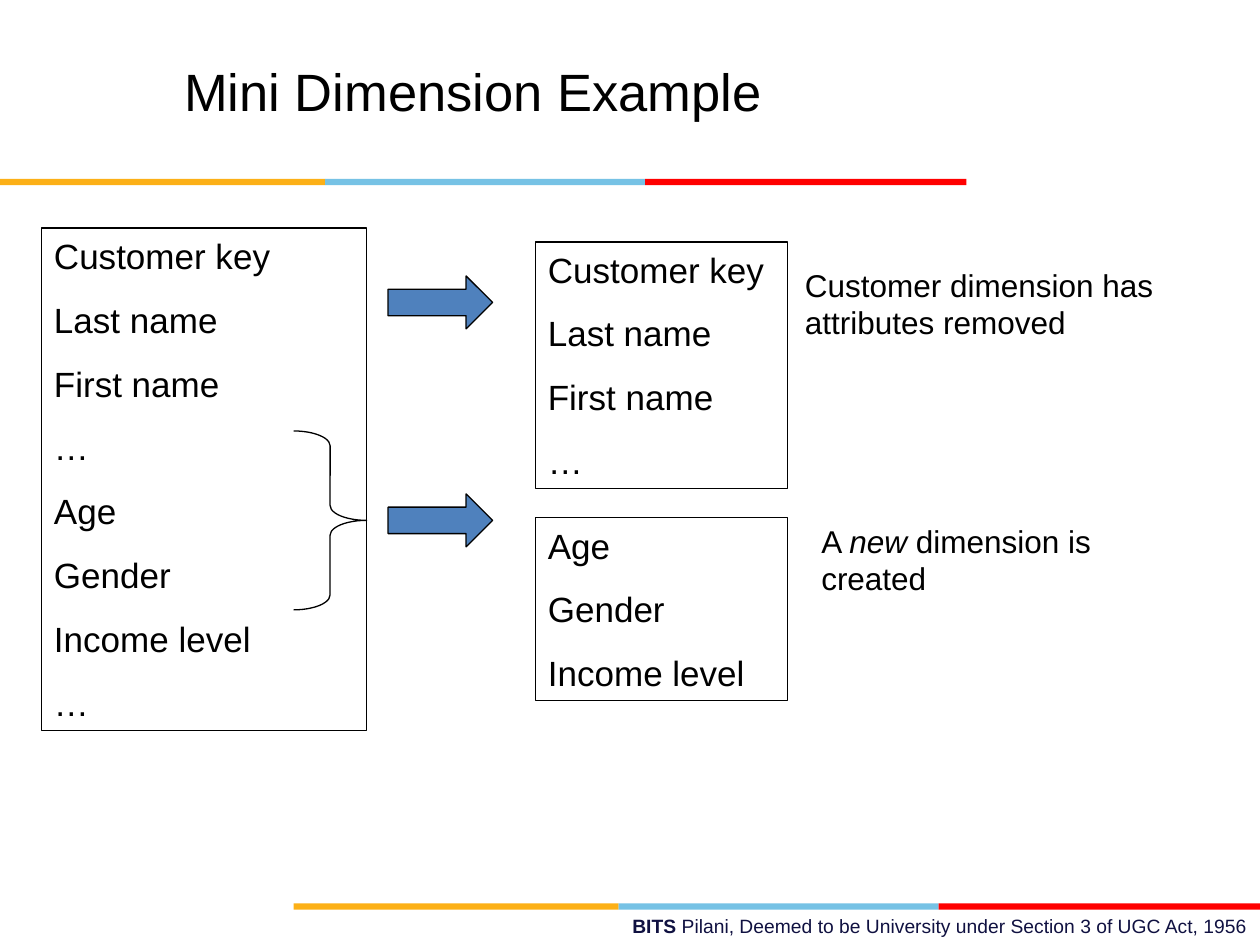
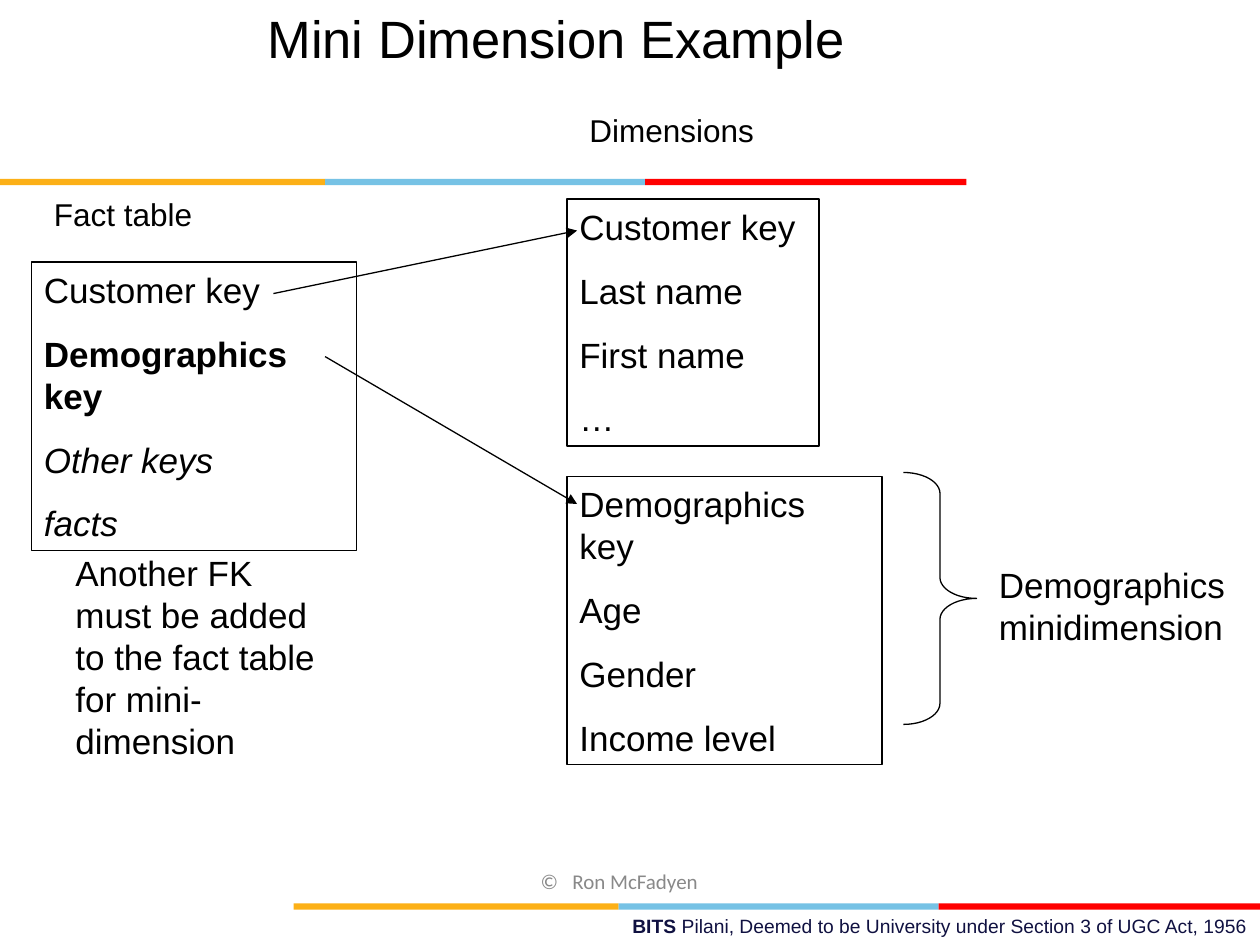
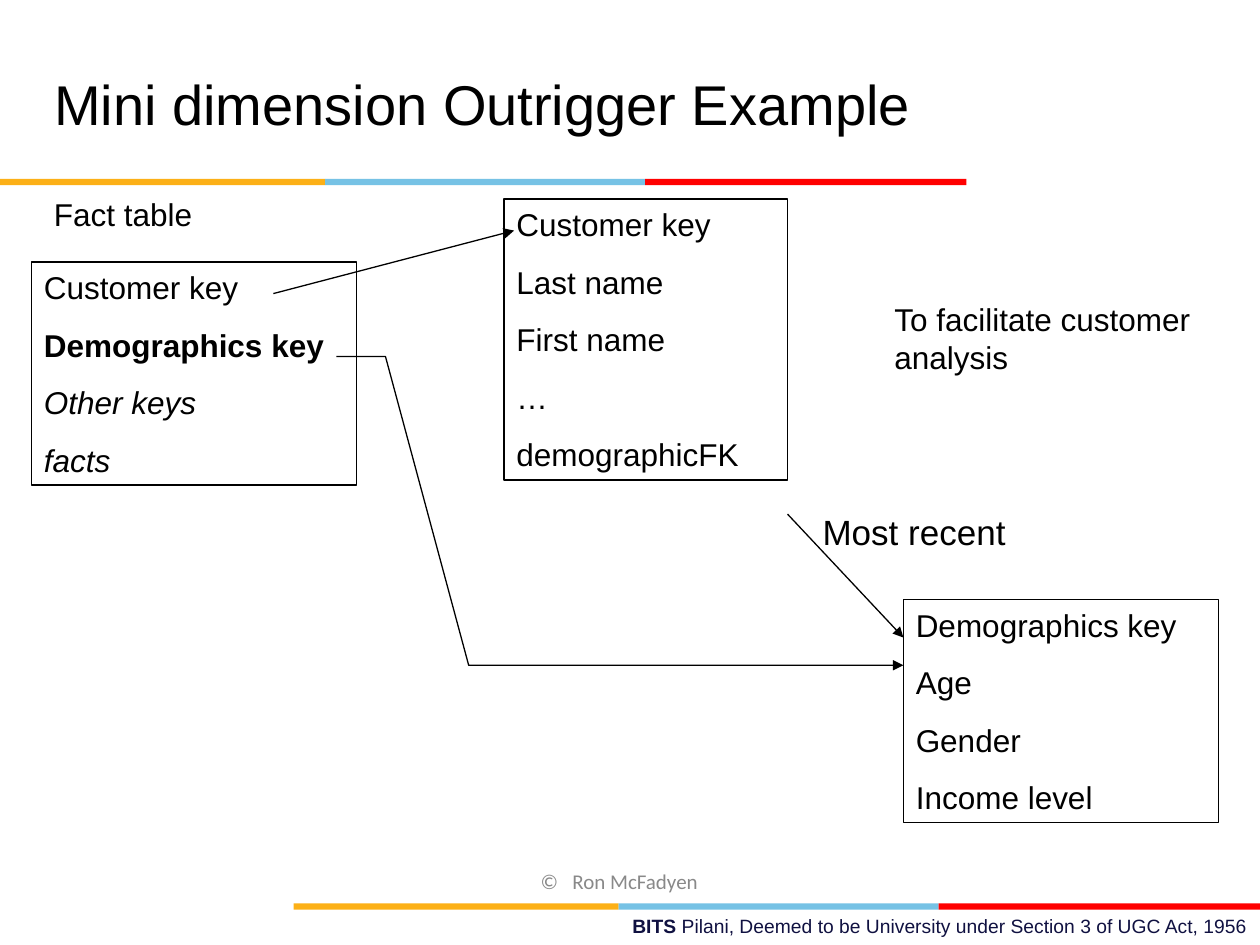
from dataclasses import dataclass
from lxml.etree import SubElement
from pptx import Presentation
from pptx.dml.color import RGBColor
from pptx.enum.shapes import MSO_CONNECTOR, MSO_SHAPE
from pptx.enum.text import MSO_ANCHOR, PP_ALIGN
from pptx.oxml.ns import qn
from pptx.util import Inches, Pt


@dataclass(frozen=True)
class Theme:
    font: str = "Arial"
    credit_font: str = "Calibri"
    black: str = "000000"
    white: str = "FFFFFF"
    navy: str = "101141"
    grey: str = "898989"
    blue: str = "4F81BD"
    bands: tuple = (("FCB017", 2.58), ("76C2E5", 2.54), ("FF0000", 2.55))
    band: float = 0.05
    line: float = 0.75
    large: int = 20
    body: int = 18
    small: int = 12
    foot: int = 11
    gap: float = 0.625


T = Theme()
BANDS = [(0, 1.42), (2.33, 7.17)]
FOOTER = [[("BITS ", "b"), ("Pilani, Deemed to be University under Section 3 of UGC Act, 1956", "")]]
NAMES = ["Customer key", "Last name", "First name", "…"]
TRAITS = ["Age", "Gender", "Income level"]
FACTS = ["Customer key", [("Demographics key", "b")], [("Other keys", "i")], [("facts", "i")]]
DEMO = ["Demographics key", *TRAITS]

SLIDES = [
    {
        "title": ("Mini Dimension Example", (0.67, 0.42, 6.17, 0.6), 30, PP_ALIGN.CENTER),
        "boxes": [
            ((0.33, 1.81, 2.58, 3.99), [*NAMES, *TRAITS, "…"], T.large),
            ((4.25, 4.11, 2, 1.45), TRAITS, T.large),
            ((4.25, 1.92, 2, 1.96), NAMES, T.large),
        ],
        "braces": [(2.33, 3.42, 0.58, 1.42)],
        "arrows": [(3.08, 3.92, 0.83, 0.42), (3.08, 2.19, 0.83, 0.42)],
        "notes": [
            ((6.29, 2.06, 3.17, 0.7), ["Customer dimension has attributes removed"], T.body),
            ((6.42, 4.09, 3.17, 0.7), [[("A ", ""), ("new", "i"), (" dimension is created", "")]], T.body),
        ],
    },
    {
        "title": ("Mini Dimension Example", (1.33, 0, 6.17, 0.6), 30, PP_ALIGN.CENTER),
        "credit": True,
        "boxes": [
            ((0.25, 2.08, 2.58, 2.29), FACTS, T.large),
            ((4.5, 3.78, 2.5, 2.29), DEMO, T.large),
            ((4.5, 1.58, 2, 1.96), NAMES, T.large),
        ],
        "links": [((2.17, 2.33), (4.58, 1.83)), ((2.58, 2.83), (4.58, 4))],
        "braces": [(7.17, 3.75, 0.58, 2)],
        "notes": [
            ((7.83, 4.42, 2.17, 0.77), ["Demographics minidimension"], T.large),
            ((0.33, 1.5, 3, 0.4), ["Fact table"], T.body),
            ((4.58, 0.83, 2.67, 0.4), ["Dimensions"], T.body),
            ((0.5, 4.33, 2.17, 1.77), ["Another FK must be added to the fact table for mini-dimension"], T.large),
        ],
    },
    {
        "title": ("Mini dimension Outrigger Example", (0.33, 0.5, 7.5, 0.64), 32, PP_ALIGN.LEFT),
        "credit": True,
        "boxes": [
            ((0.25, 2.08, 2.58, 1.77), FACTS, T.body),
            ((7.17, 4.76, 2.5, 1.77), DEMO, T.body),
            ((4, 1.58, 2.25, 2.23), [*NAMES, "demographicFK"], T.body),
        ],
        "links": [
            ((2.17, 2.33), (4.08, 1.83)),
            ((2.67, 2.83), (3.06, 2.83), (3.72, 5.28), (7.17, 5.28)),
            ((6.25, 4.08), (7.17, 5.06)),
        ],
        "notes": [
            ((0.33, 1.5, 3, 0.4), ["Fact table"], T.body),
            ((6.43, 4, 1.8, 0.44), ["Most recent"], T.large),
            ((7, 2.33, 2.67, 0.7), ["To facilitate customer analysis"], T.body),
        ],
    },
]


def tint(hue):
    return RGBColor.from_string(hue)


def place(at):
    return [Inches(n) for n in at]


def write(shape, paras, size, hue=T.black, font=T.font, align=PP_ALIGN.LEFT, anchor=MSO_ANCHOR.TOP):
    frame = shape.text_frame
    frame.word_wrap = True
    frame.vertical_anchor = anchor
    frame.margin_left = frame.margin_right = Inches(0.1)
    frame.margin_top = frame.margin_bottom = Inches(0.05)
    for i, runs in enumerate(paras):
        para = frame.add_paragraph() if i else frame.paragraphs[0]
        para.alignment = align
        para.space_before = Pt(size * T.gap if i else 0)
        for text, style in [(runs, "")] if isinstance(runs, str) else runs:
            run = para.add_run()
            run.text = text
            run.font.name = font
            run.font.size = Pt(size)
            run.font.bold = style == "b"
            run.font.italic = style == "i"
            run.font.color.rgb = tint(hue)


def label(slide, at, paras, size, **look):
    shape = slide.shapes.add_textbox(*place(at))
    write(shape, paras, size, **look)
    return shape


def stroke(item):
    item.line.color.rgb = tint(T.black)
    item.line.width = Pt(T.line)


def draw(slide, kind, at, fill=None, edge=True):
    shape = slide.shapes.add_shape(kind, *place(at))
    shape.shadow.inherit = False
    if fill:
        shape.fill.solid()
        shape.fill.fore_color.rgb = tint(fill)
    else:
        shape.fill.background()
    if edge:
        stroke(shape)
    else:
        shape.line.fill.background()
    return shape


def link(slide, points):
    first, *rest = [place(p) for p in points]
    if len(rest) == 1:
        item = slide.shapes.add_connector(MSO_CONNECTOR.STRAIGHT, *first, *rest[0])
        stroke(item)
        SubElement(item._element.spPr, qn("a:effectLst"))
    else:
        path = slide.shapes.build_freeform(*first)
        path.add_line_segments(rest, close=False)
        item = path.convert_to_shape()
        item.shadow.inherit = False
        item.fill.background()
        stroke(item)
    SubElement(item._element.spPr.find(qn("a:ln")), qn("a:tailEnd"), type="triangle")


def brace(slide, at):
    shape = draw(slide, MSO_SHAPE.RIGHT_BRACE, at)
    shape.adjustments[0] = at[3] / at[2] / 12


def credit(slide):
    shape = label(slide, (2.83, 6.79, 4.17, 0.4), [[("©", ""), (" ", ""), ("Ron McFadyen", "")]],
                  T.small, hue=T.grey, font=T.credit_font,
                  align=PP_ALIGN.CENTER, anchor=MSO_ANCHOR.MIDDLE)
    space = shape.text_frame.paragraphs[0].runs[1]
    space.font._element.set("spc", "540")


def dress(layout, slide):
    for holder in list(layout.placeholders):
        if holder.placeholder_format.idx:
            holder._element.getparent().remove(holder._element)
    parts = [label(slide, (3.58, 7.21, 6.42, 0.29), FOOTER, T.foot, hue=T.navy, align=PP_ALIGN.RIGHT)]
    for left, top in BANDS:
        for hue, width in T.bands:
            parts.append(draw(slide, MSO_SHAPE.RECTANGLE, (left, top, width, T.band), hue, edge=False))
            left += width
    for part in parts:
        layout.shapes._spTree.append(part._element)


def build(slide, data):
    text, at, size, align = data["title"]
    title = slide.shapes.title
    title.left, title.top, title.width, title.height = place(at)
    write(title, [text], size, align=align)
    if data.get("credit"):
        credit(slide)
    for at, paras, size in data["boxes"]:
        write(draw(slide, MSO_SHAPE.RECTANGLE, at, T.white), paras, size)
    for points in data.get("links", []):
        link(slide, points)
    for at in data.get("braces", []):
        brace(slide, at)
    for at in data.get("arrows", []):
        draw(slide, MSO_SHAPE.RIGHT_ARROW, at, T.blue)
    for at, paras, size in data["notes"]:
        label(slide, at, paras, size)


def main():
    deck = Presentation()
    deck.slide_width, deck.slide_height = Inches(10), Inches(7.5)
    layout = deck.slide_layouts[5]
    for i, data in enumerate(SLIDES):
        slide = deck.slides.add_slide(layout)
        if i == 0:
            dress(layout, slide)
        build(slide, data)
    deck.save("out.pptx")


if __name__ == "__main__":
    main()
